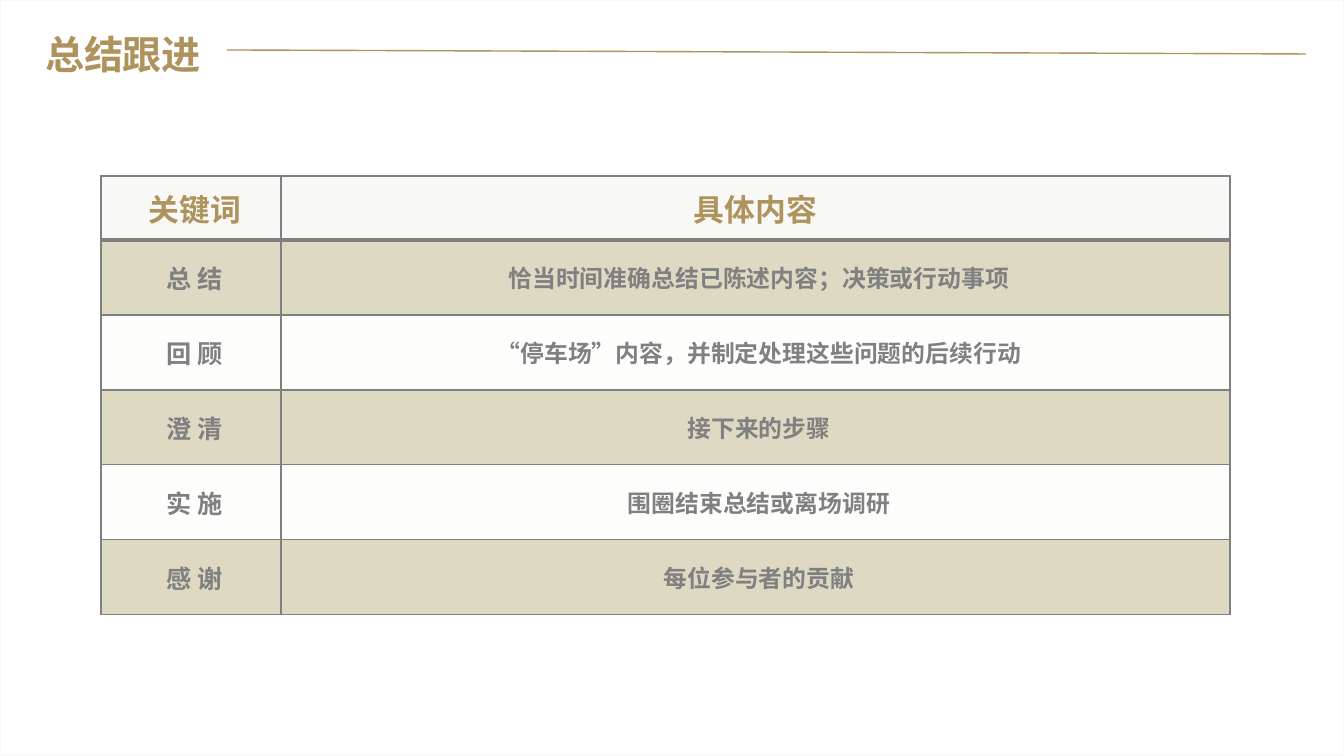
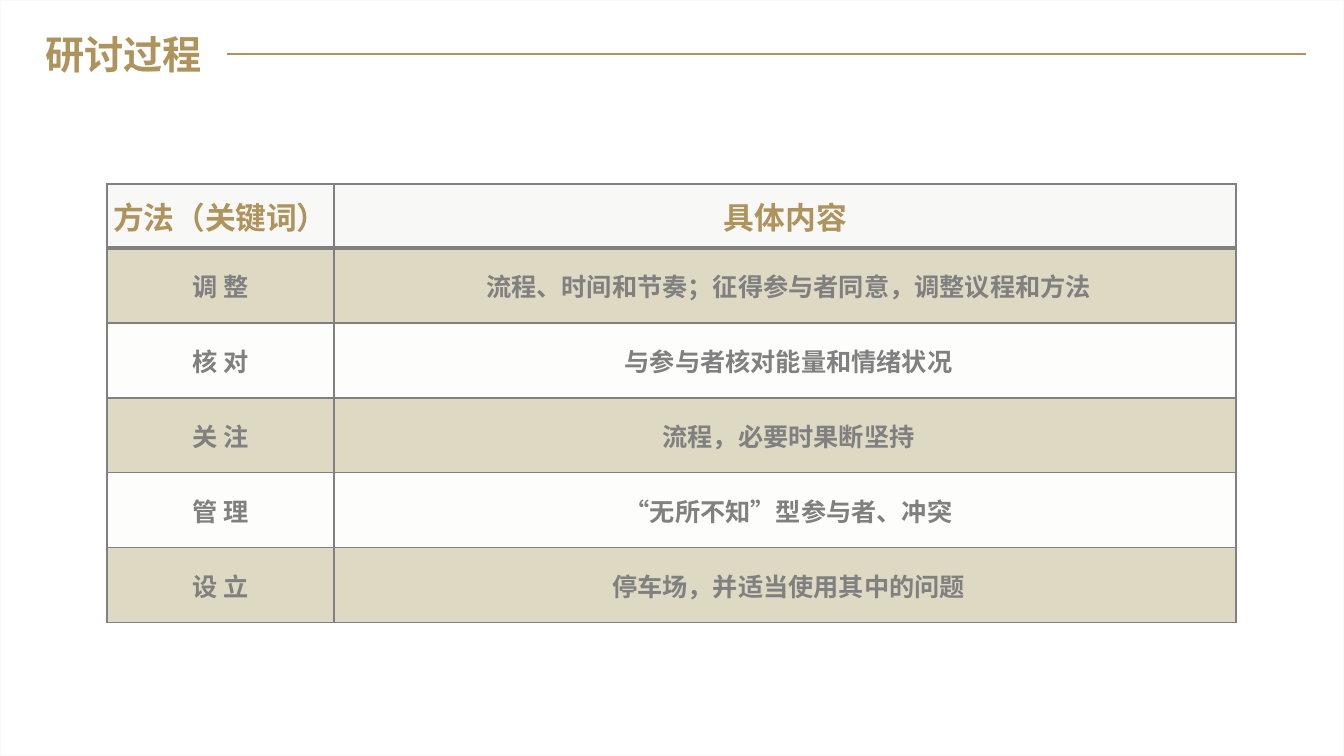
from dataclasses import dataclass

from lxml.etree import SubElement
from pptx import Presentation
from pptx.dml.color import RGBColor
from pptx.enum.shapes import MSO_CONNECTOR as Connector, MSO_SHAPE as Preset
from pptx.enum.text import MSO_ANCHOR as Anchor, PP_ALIGN as Align
from pptx.oxml.ns import qn
from pptx.util import Pt

EMU_PER_PX = 914400 / 100.8
WIDTH, HEIGHT = 1344, 756
HEADER_HEIGHT, ROW_HEIGHT = 64, 75
INDENT = 7


def px(*lengths):
    """Turn pixel lengths into EMU."""
    return [round(length * EMU_PER_PX) for length in lengths]


def assign(target, formats):
    """Set each named format value on the target."""
    for name, value in formats.items():
        setattr(target, name, value)


@dataclass(frozen=True)
class Theme:
    """Colours, type and line sizes shared by the slides."""

    font: str = "Noto Sans CJK SC"
    gold: str = "AF935C"
    grey: str = "808080"
    pale: str = "F8F8F7"
    sand: str = "DDD9C3"
    white: str = "FDFDFC"
    title_size: int = 28
    header_size: int = 22
    keyword_size: int = 18
    frame_line: float = 0.96
    thin_line: int = 1
    thick_line: int = 3


class Deck:
    """Draw styled elements on the current slide."""

    def __init__(self, theme):
        """Open a presentation of the shared size."""
        self.theme = theme
        self.presentation = Presentation()
        width, height = px(WIDTH, HEIGHT)
        assign(self.presentation, {"slide_width": width, "slide_height": height})

    def start_slide(self, title, spacing, rule_start):
        """Add a slide with its frame, title and rule."""
        blank = self.presentation.slide_layouts[6]
        self.shapes = self.presentation.slides.add_slide(blank).shapes
        self.frame()
        self.title(title, spacing)
        self.rule((227, rule_start), (1306, 54))

    def frame(self):
        """Outline the whole slide."""
        outline = self.shapes.add_shape(Preset.RECTANGLE, *px(0, 0, WIDTH, HEIGHT))
        outline.shadow.inherit = False
        outline.fill.background()
        outline.line.color.rgb = RGBColor.from_string(self.theme.pale)
        outline.line.width = Pt(self.theme.frame_line)

    def title(self, wording, spacing):
        """Set the slide title."""
        frame = self.shapes.add_textbox(*px(46, 30, 382, 47)).text_frame
        margins = dict.fromkeys(
            ("margin_left", "margin_top", "margin_right", "margin_bottom"), 0)
        assign(frame, {"word_wrap": True, **margins})
        self.bold_run(frame.paragraphs[0], wording, self.theme.title_size,
                      self.theme.gold, spacing)

    def rule(self, start, end):
        """Draw the line beside the title."""
        line = self.shapes.add_connector(Connector.STRAIGHT, *px(*start, *end))
        line.line.color.rgb = RGBColor.from_string(self.theme.gold)
        line.line.width = Pt(self.theme.thin_line)
        SubElement(line._element.spPr, qn("a:effectLst"))

    def bold_run(self, paragraph, wording, size, color, spacing):
        """Add a bold run, with spacing in hundredths of a point."""
        run = paragraph.add_run()
        run.text = wording
        assign(run.font, {"size": Pt(size), "bold": True, "name": self.theme.font})
        run.font.color.rgb = RGBColor.from_string(color)
        properties = run._r.get_or_add_rPr()
        properties.set("spc", str(spacing))
        SubElement(properties, qn("a:ea"), typeface=self.theme.font)

    def borders(self, cell, top, bottom):
        """Line the four sides of a cell."""
        thin = self.theme.thin_line
        properties = cell._tc.get_or_add_tcPr()
        for side, width in zip("LRTB", (thin, thin, top, bottom)):
            line = SubElement(properties, qn(f"a:ln{side}"), w=str(Pt(width)))
            fill = SubElement(line, qn("a:solidFill"))
            SubElement(fill, qn("a:srgbClr"), val=self.theme.grey)

    def cell(self, cell, row, wording, size, spacing, indent):
        """Fill, line and label one table cell."""
        theme = self.theme
        assign(cell, {"margin_left": 0, "margin_right": 0, "margin_top": 0,
                      "margin_bottom": 0, "vertical_anchor": Anchor.MIDDLE})
        self.borders(cell, theme.thick_line if row == 1 else theme.thin_line,
                     theme.thick_line if row == 0 else theme.thin_line)
        band = theme.sand if row % 2 else theme.white
        cell.fill.solid()
        cell.fill.fore_color.rgb = RGBColor.from_string(band if row else theme.pale)
        paragraph = cell.text_frame.paragraphs[0]
        paragraph.alignment = Align.CENTER
        if indent:
            properties = paragraph._p.get_or_add_pPr()
            properties.set("marL", str(px(INDENT)[0]))
            properties.set("indent", "0")
        self.bold_run(paragraph, wording, size, theme.grey if row else theme.gold,
                      spacing)

    def table(self, left, top, widths, rows, content_size, spacings, keyword_indent):
        """Draw a keyword table below a header row."""
        height = HEADER_HEIGHT + ROW_HEIGHT * (len(rows) - 1)
        grid = self.shapes.add_table(
            len(rows), len(widths), *px(left, top, sum(widths), height)).table
        assign(grid, {"first_row": False, "horz_banding": False})
        for column, width in zip(grid.columns, px(*widths)):
            column.width = width
        sizes = (self.theme.keyword_size, content_size)
        for row, wordings in enumerate(rows):
            grid.rows[row].height = px(ROW_HEIGHT if row else HEADER_HEIGHT)[0]
            for column, wording in enumerate(wordings):
                size = sizes[column] if row else self.theme.header_size
                spacing = spacings[column] if row else spacings[2 + column]
                indent = row > 0 if column else keyword_indent
                self.cell(grid.cell(row, column), row, wording, size, spacing, indent)


FOLLOW_UP = (
    ("关键词", "具体内容"),
    ("总 结", "恰当时间准确总结已陈述内容；决策或行动事项"),
    ("回 顾", "“停车场”内容，并制定处理这些问题的后续行动"),
    ("澄 清", "接下来的步骤"),
    ("实 施", "围圈结束总结或离场调研"),
    ("感 谢", "每位参与者的贡献"),
)
DISCUSSION = (
    ("方法（关键词）", "具体内容"),
    ("调 整", "流程、时间和节奏；征得参与者同意，调整议程和方法"),
    ("核 对", "与参与者核对能量和情绪状况"),
    ("关 注", "流程，必要时果断坚持"),
    ("管 理", "“无所不知”型参与者、冲突"),
    ("设 立", "停车场，并适当使用其中的问题"),
)


def main():
    """Build and save both slides."""
    deck = Deck(Theme())
    deck.start_slide("总结跟进", -50, 50)
    deck.table(101, 176, (180, 949), FOLLOW_UP, 17, (20, 0, 20, 20), True)
    deck.start_slide("研讨过程", -20, 54)
    deck.table(107, 184, (227, 902), DISCUSSION, 18, (0, 0, -10, 20), False)
    deck.presentation.save("out.pptx")


if __name__ == "__main__":
    main()
